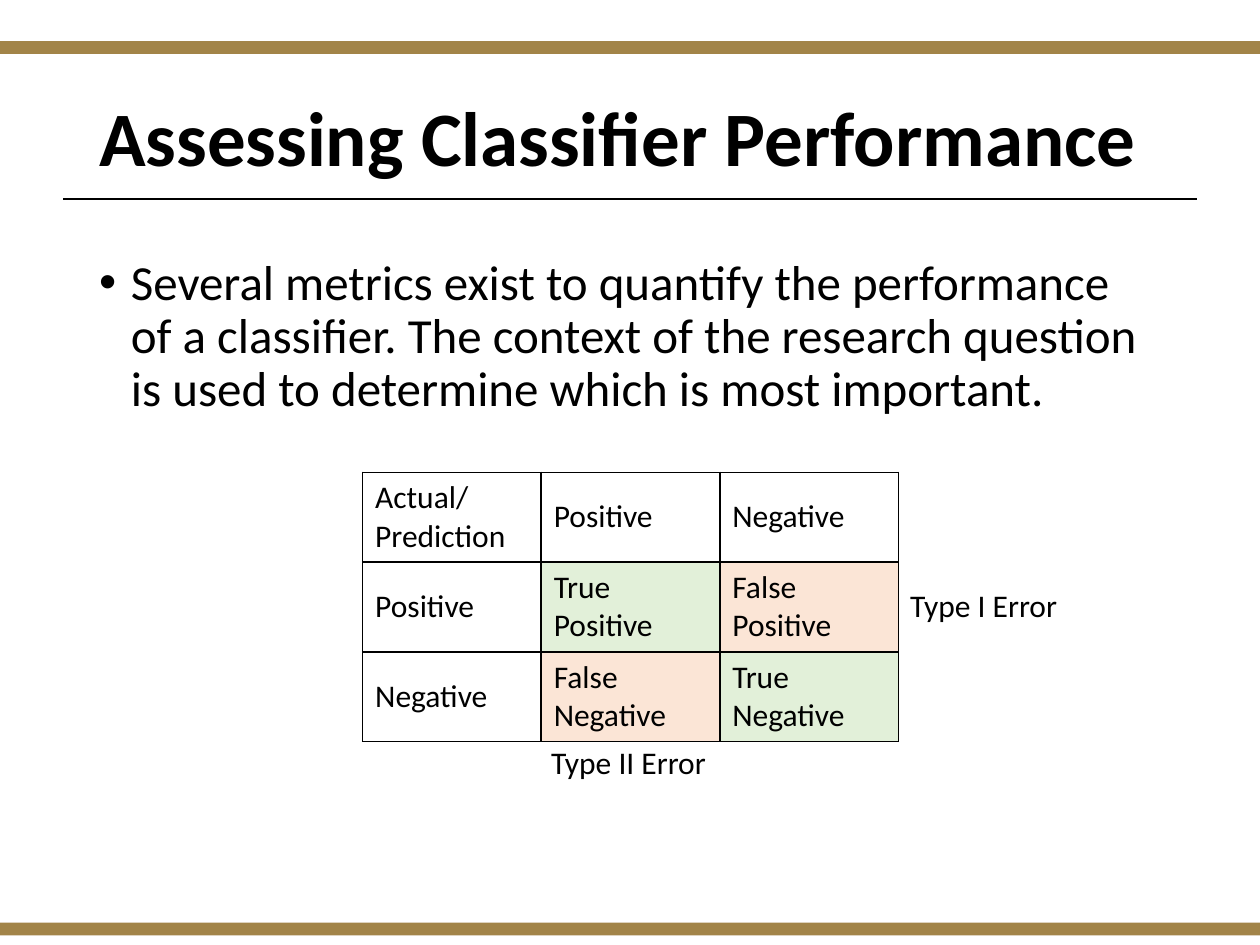
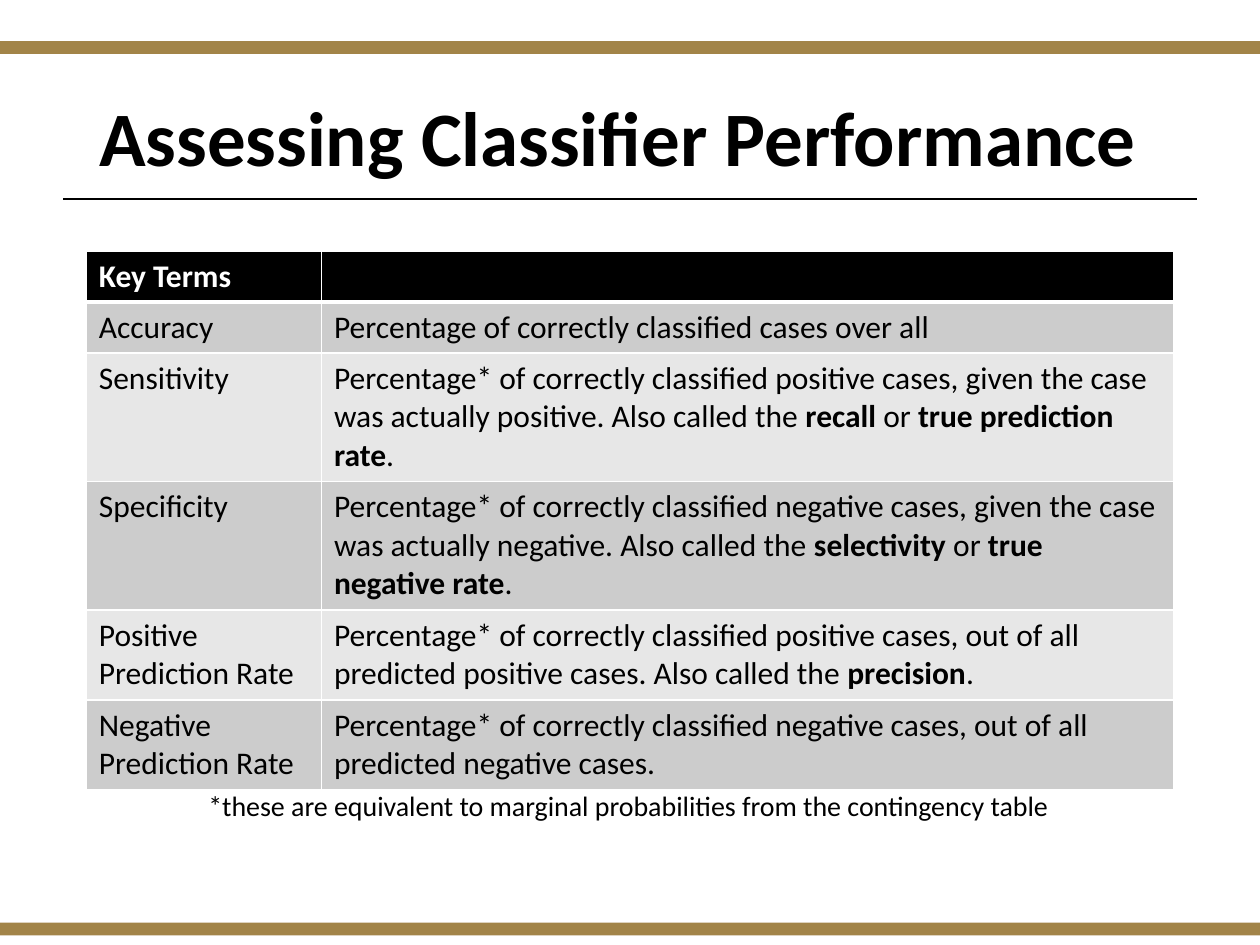
from lxml.etree import SubElement
from pptx import Presentation
from pptx.dml.color import RGBColor
from pptx.enum.shapes import MSO_CONNECTOR, MSO_SHAPE
from pptx.enum.text import MSO_ANCHOR
from pptx.oxml import parse_xml
from pptx.oxml.ns import nsdecls, qn
from pptx.util import Cm, Pt

BLACK = RGBColor(0, 0, 0)
WHITE = RGBColor(255, 255, 255)
GOLD = RGBColor(0xA2, 0x84, 0x48)
GREEN = RGBColor(0xE2, 0xF0, 0xD9)
PEACH = RGBColor(0xFB, 0xE5, 0xD6)
DARK = RGBColor(0xCC, 0xCC, 0xCC)
LIGHT = RGBColor(0xE7, 0xE7, 0xE7)
FONT = "Calibri"
WIDE, HIGH = 25.4, 19.05
LEFT, SPAN = 1.75, 21.9
BAND = 0.26

TITLE = "Assessing Classifier Performance"
INTRO = ("Several metrics exist to quantify the performance of a classifier. "
         "The context of the research question is used to determine which is "
         "most important.")
MATRIX = [
    ("Actual/\nPrediction", "Positive", "Negative"),
    ("Positive", "True Positive", "False Positive"),
    ("Negative", "False Negative", "True Negative"),
]
ERRORS = [("Type I Error", 18.1, 11.68), ("Type II Error", 10.86, 14.86)]
TERMS = [
    ("**Key Terms**", ""),
    ("Accuracy", "Percentage of correctly classified cases over all"),
    ("Sensitivity",
     "Percentage* of correctly classified positive cases, given the case was "
     "actually positive. Also called the **recall **or **true prediction rate**."),
    ("Specificity",
     "Percentage* of correctly classified negative cases, given the case was "
     "actually negative. Also called the **selectivity **or **true negative rate**."),
    ("Positive Prediction Rate",
     "Percentage* of correctly classified positive cases, out of all predicted "
     "positive cases. Also called the **precision**."),
    ("Negative Prediction Rate",
     "Percentage* of correctly classified negative cases, out of all predicted "
     "negative cases."),
]
LINES = [1, 1, 3, 3, 2, 2]
NOTE = "*these are equivalent to marginal probabilities from the contingency table"


def style(run, size, color=BLACK, bold=False):
    run.font.name = FONT
    run.font.size = Pt(size)
    run.font.bold = bold
    run.font.color.rgb = color


def add_text(slide, text, box, size, bold=False):
    frame = slide.shapes.add_textbox(*map(Cm, box)).text_frame
    frame.word_wrap = True
    frame.text = text
    style(frame.paragraphs[0].runs[0], size, bold=bold)
    return frame


def add_base(deck):
    slide = deck.slides.add_slide(deck.slide_layouts[6])
    for top in (HIGH - 0.19 - BAND, 0.83):
        band = slide.shapes.add_shape(
            MSO_SHAPE.RECTANGLE, 0, Cm(top), Cm(WIDE), Cm(BAND))
        band.shadow.inherit = False
        band.fill.solid()
        band.fill.fore_color.rgb = GOLD
        band.line.fill.background()
    rule = slide.shapes.add_connector(
        MSO_CONNECTOR.STRAIGHT, Cm(1.27), Cm(4.01), Cm(WIDE - 1.27), Cm(4.01))
    rule.line.color.rgb = BLACK
    rule.line.width = Pt(1.25)
    SubElement(rule._element.spPr, qn("a:effectLst"))
    frame = add_text(slide, TITLE, (LEFT, 1.02, SPAN, 3.68), 44, True)
    frame.vertical_anchor = MSO_ANCHOR.MIDDLE
    frame.paragraphs[0].line_spacing = 0.9
    return slide


def edge(cell, color, base=1):
    props = cell._tc.get_or_add_tcPr()
    for spot, side in enumerate("LRTB"):
        width = Pt(base if side == "B" else 1)
        props.insert(spot, parse_xml(
            f'<a:ln{side} {nsdecls("a")} w="{width}"><a:solidFill>'
            f'<a:srgbClr val="{color}"/></a:solidFill></a:ln{side}>'))


def fill_cell(cell, text, color, back):
    for spot, line in enumerate(text.split("\n")):
        frame = cell.text_frame
        para = frame.add_paragraph() if spot else frame.paragraphs[0]
        for turn, part in enumerate(line.split("**")):
            if part:
                run = para.add_run()
                run.text = part
                style(run, 18, color, turn % 2 == 1)
    if back is None:
        cell.fill.background()
    else:
        cell.fill.solid()
        cell.fill.fore_color.rgb = back


def add_grid(slide, data, left, top, cols, rows):
    grid = slide.shapes.add_table(
        len(rows), len(cols), Cm(left), Cm(top),
        Cm(sum(cols)), Cm(sum(rows))).table
    for col, width in zip(grid.columns, cols):
        col.width = Cm(width)
    for row, height in zip(grid.rows, rows):
        row.height = Cm(height)
    for r, texts in enumerate(data):
        for c, text in enumerate(texts):
            yield r, c, grid.cell(r, c), text


def add_matrix(deck):
    slide = add_base(deck)
    frame = add_text(slide, INTRO, (LEFT, 5.08, SPAN - 0.3, 12.09), 28)
    para = frame.paragraphs[0]
    para.line_spacing = 0.9
    para.space_before = Pt(10)
    props = para._p.get_or_add_pPr()
    props.set("marL", str(Cm(0.64)))
    props.set("indent", str(Cm(-0.64)))
    SubElement(props, qn("a:buFont"), typeface="Arial")
    SubElement(props, qn("a:buChar"), char="•")
    cells = add_grid(slide, MATRIX, 7.31, 9.52, [3.6] * 3, [1.81] * 3)
    for r, c, cell, text in cells:
        back = (GREEN if r == c else PEACH) if r and c else None
        fill_cell(cell, text, BLACK, back)
        cell.vertical_anchor = MSO_ANCHOR.MIDDLE
        edge(cell, BLACK)
    for text, left, top in ERRORS:
        add_text(slide, text, (left, top, 3.7, 1.03), 18)


def add_terms(deck):
    slide = add_base(deck)
    rows = [0.25 + 0.78 * count for count in LINES]
    cells = add_grid(slide, TERMS, 1.74, 5.06, [4.74, 17.18], rows)
    for r, c, cell, text in cells:
        back = (DARK if r % 2 else LIGHT) if r else BLACK
        fill_cell(cell, text, BLACK if r else WHITE, back)
        edge(cell, WHITE, 1 if r else 3)
    add_text(slide, NOTE, (3.95, 15.77, 17.5, 0.94), 16)


deck = Presentation()
deck.slide_width = Cm(WIDE)
deck.slide_height = Cm(HIGH)
add_matrix(deck)
add_terms(deck)
deck.save("out.pptx")
